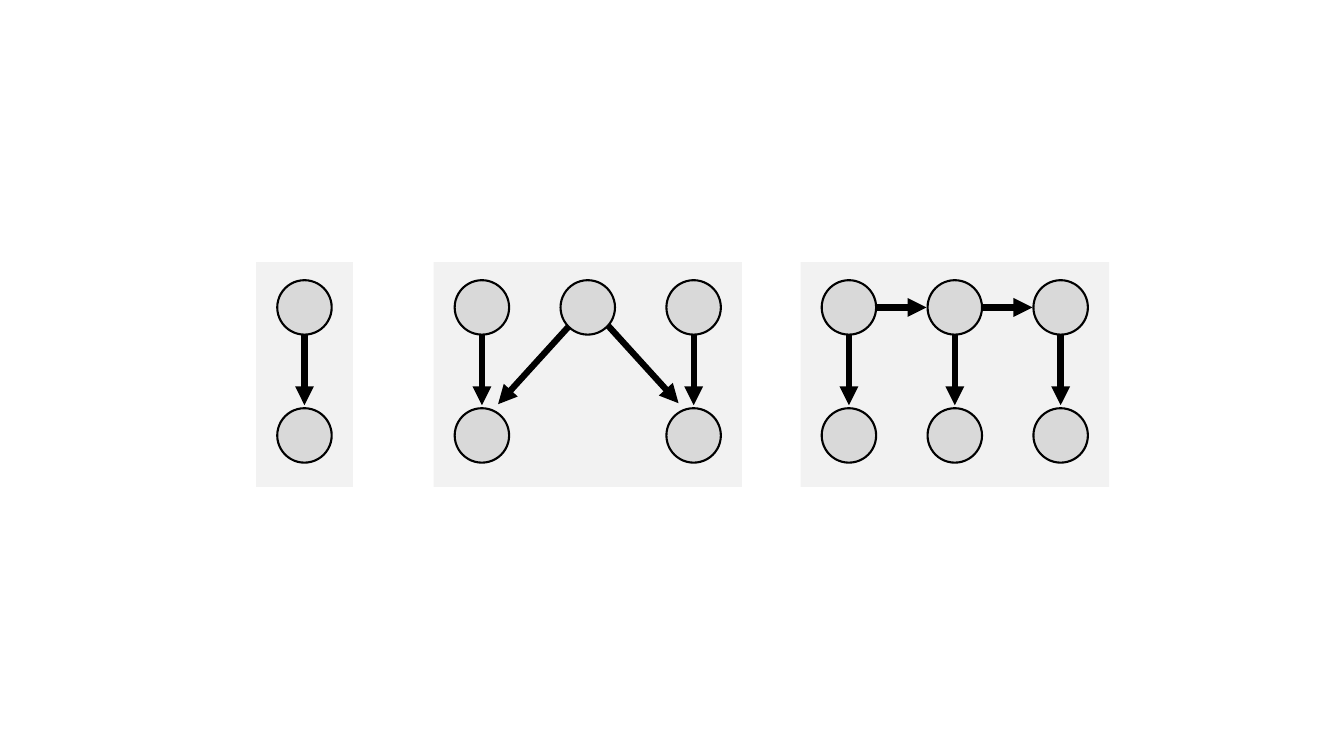
from lxml import etree
from pptx import Presentation, util as u
from pptx.dml.color import RGBColor
from pptx.enum import shapes
from pptx.oxml.ns import qn

COLUMN, ROW = 1.05, 1.27
MARGIN = 0.48
NODE = 0.54
TOP, HEIGHT = 2.6, 2.23
FIRST_ROW = 3.05

# Offsets in inches from a node's centre: arrow start, then arrow end
ARROWS = {
    "down": ((0, 0.27), (0, 0.97)),
    "right": ((0.27, 0), (0.77, 0)),
    "down left": ((-0.19, 0.19), (-0.89, 0.96)),
    "down right": ((0.2, 0.18), (0.9, 0.95)),
}

# Panel left, column count, nodes as (column, row), arrows as (column, direction)
GRAPHS = [
    (2.54, 1, [(0, 0), (0, 1)], [(0, "down")]),
    (4.3, 3, [(0, 0), (1, 0), (2, 0), (0, 1), (2, 1)],
     [(0, "down"), (2, "down"), (1, "down left"), (1, "down right")]),
    (7.94, 3, [(column, row) for row in range(2) for column in range(3)],
     [(0, "down"), (1, "down"), (2, "down"), (0, "right"), (1, "right")]),
]


def color(value):
    return RGBColor.from_string(value)


class GraphSlide:
    panel_fill = "F2F2F2"
    node_fill = "D9D9D9"
    ink = "000000"

    def __init__(self, slide):
        self.slide = slide

    def center(self, left, column, row):
        """Return the centre of a grid position in a panel, in inches."""
        return left + MARGIN + column * COLUMN, FIRST_ROW + row * ROW

    def filled_shape(self, kind, left, top, width, height, fill):
        shape = self.slide.shapes.add_shape(
            kind, *map(u.Inches, (left, top, width, height)))
        shape.shadow.inherit = False
        shape.fill.solid()
        shape.fill.fore_color.rgb = color(fill)
        return shape

    def panel(self, left, columns):
        width = 2 * MARGIN + (columns - 1) * COLUMN
        panel = self.filled_shape(shapes.MSO_SHAPE.RECTANGLE, left, TOP,
                                  width, HEIGHT, self.panel_fill)
        panel.line.fill.background()

    def node(self, left, column, row):
        x, y = self.center(left, column, row)
        node = self.filled_shape(shapes.MSO_SHAPE.OVAL, x - NODE / 2, y - NODE / 2,
                                 NODE, NODE, self.node_fill)
        node.line.color.rgb = color(self.ink)
        node.line.width = u.Pt(1.5)

    def arrow(self, left, column, direction):
        """Draw an arrow that leaves a top-row node."""
        x, y = self.center(left, column, 0)
        ends = [u.Inches(length) for dx, dy in ARROWS[direction]
                for length in (x + dx, y + dy)]
        arrow = self.slide.shapes.add_connector(shapes.MSO_CONNECTOR.STRAIGHT, *ends)
        arrow.line.color.rgb = color(self.ink)
        arrow.line.width = u.Pt(4.5)
        properties = arrow._element.spPr
        etree.SubElement(properties.find(qn("a:ln")), qn("a:tailEnd"), type="triangle")
        etree.SubElement(properties, qn("a:effectLst"))


def main():
    presentation = Presentation()
    presentation.slide_width = u.Inches(13.33)
    presentation.slide_height = u.Inches(7.5)
    slide = presentation.slides.add_slide(presentation.slide_layouts[6])
    canvas = GraphSlide(slide)
    for left, columns, nodes, arrows in GRAPHS:
        canvas.panel(left, columns)
        for column, row in nodes:
            canvas.node(left, column, row)
        for column, direction in arrows:
            canvas.arrow(left, column, direction)
    presentation.save("out.pptx")


if __name__ == "__main__":
    main()
